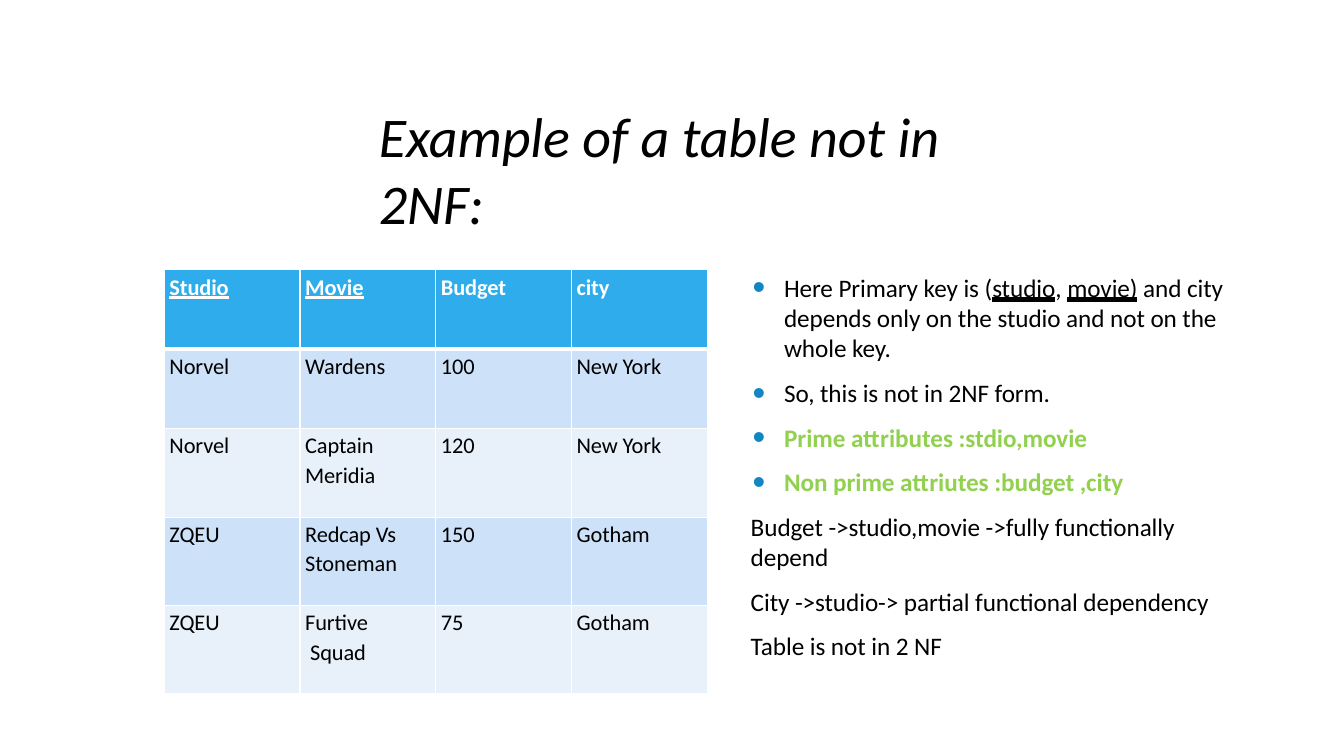
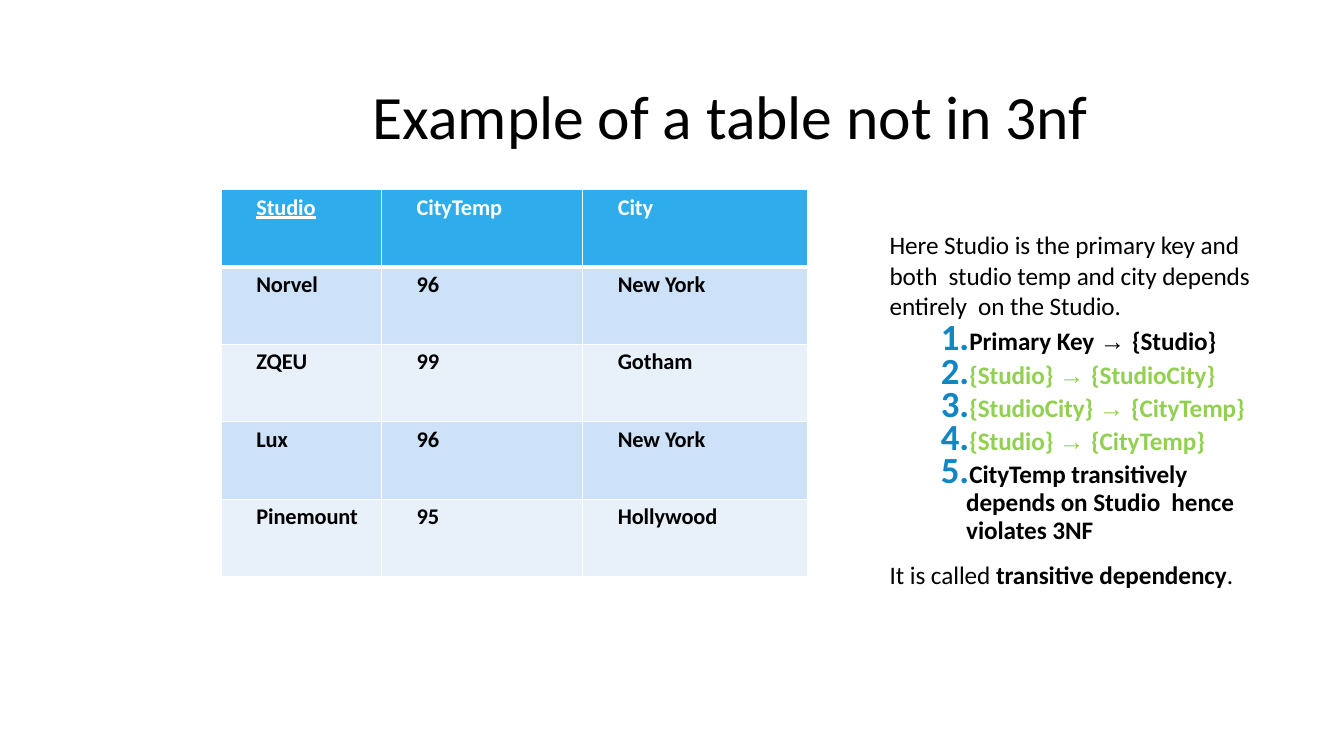
from collections import namedtuple

from lxml.etree import SubElement
from pptx import Presentation
from pptx.dml.color import RGBColor
from pptx.enum.text import MSO_ANCHOR, MSO_UNDERLINE
from pptx.oxml.ns import qn
from pptx.util import Cm, Pt

HEAVY = MSO_UNDERLINE.HEAVY_LINE
Run = namedtuple("Run", "text bold color underline font", defaults=(False, "000000", None, "Calibri"))


def rgb(value):
    return RGBColor.from_string(value)


def add_xml(parent, tag, **attributes):
    return SubElement(parent, qn(tag), {key: str(value) for key, value in attributes.items()})


class Deck:
    BLACK = "000000"
    WHITE = "FFFFFF"
    GREEN = "92D050"
    BULLET = "1286C3"
    HEADER = "2FACEB"
    BANDS = ("CDE2F8", "E8F0FA")
    BODY_SIZE = 18
    CELL_SIZE = 16
    LETTER_SPACING = -5

    def __init__(self):
        self.presentation = Presentation()
        self.presentation.slide_width = Cm(33.87)
        self.presentation.slide_height = Cm(19.05)
        self.slide = None

    def add_slide(self):
        self.slide = self.presentation.slides.add_slide(self.presentation.slide_layouts[6])

    def style(self, run, size, bold=False, color=BLACK, underline=None, font="Calibri", italic=False):
        run.font.name = font
        run.font.size = Pt(size)
        run.font.bold = bold
        run.font.italic = italic
        run.font.underline = underline
        run.font.color.rgb = rgb(color)
        run.font._element.set("spc", str(self.LETTER_SPACING))

    def text_frame(self, left, top, width, height):
        shape = self.slide.shapes.add_textbox(Cm(left), Cm(top), Cm(width), Cm(height))
        frame = shape.text_frame
        frame.word_wrap = True
        frame.margin_left = frame.margin_top = frame.margin_right = frame.margin_bottom = 0
        return frame

    def title(self, text, left, top, width, height, size, italic=False):
        frame = self.text_frame(left, top, width, height)
        frame.vertical_anchor = MSO_ANCHOR.MIDDLE
        frame.text = text
        frame.paragraphs[0].space_before = Pt(1)
        self.style(frame.paragraphs[0].runs[0], size, italic=italic)

    def borders(self, cell, row):
        properties = cell._tc.get_or_add_tcPr()
        widths = {"L": 1, "R": 1, "T": 3 if row == 1 else 1, "B": 3 if row == 0 else 1}
        for side, width in widths.items():
            line = add_xml(properties, f"a:ln{side}", w=Pt(width))
            add_xml(add_xml(line, "a:solidFill"), "a:srgbClr", val=self.WHITE)

    def table(self, rows, left, top, widths, heights, indent, keys, bold=False):
        frame = self.slide.shapes.add_table(
            len(rows), len(widths), Cm(left), Cm(top), Cm(sum(widths)), Cm(sum(heights)))
        table = frame.table
        for column, width in zip(table.columns, widths):
            column.width = Cm(width)
        for index, (values, height) in enumerate(zip(rows, heights)):
            table.rows[index].height = Cm(height)
            for column, value in enumerate(values):
                self.cell(table.cell(index, column), value, index, indent, bold, value in keys)

    def cell(self, cell, text, row, indent, bold, key):
        header = row == 0
        self.borders(cell, row)
        cell.fill.solid()
        cell.fill.fore_color.rgb = rgb(self.HEADER if header else self.BANDS[(row - 1) % 2])
        cell.margin_left = Cm(indent)
        cell.margin_top = Cm(0.1)
        cell.margin_right = cell.margin_bottom = 0
        cell.text_frame.text = text
        for index, paragraph in enumerate(cell.text_frame.paragraphs):
            paragraph.space_before = Pt(1.5 if index else 3)
            for run in paragraph.runs:
                self.style(run, self.CELL_SIZE, bold or header,
                           self.WHITE if header else self.BLACK, header and key)

    def bullet(self, paragraph, margin, hanging, size, numbered):
        properties = paragraph._p.get_or_add_pPr()
        properties.set("marL", str(Cm(margin)))
        properties.set("indent", str(-Cm(hanging)))
        add_xml(add_xml(properties, "a:buClr"), "a:srgbClr", val=self.BULLET)
        add_xml(properties, "a:buSzPct", val=size * 1000)
        if numbered:
            add_xml(properties, "a:buFont", typeface="Calibri")
            add_xml(properties, "a:buAutoNum", type="arabicPeriod")
        else:
            add_xml(properties, "a:buFont", typeface="Arial")
            add_xml(properties, "a:buChar", char="•")

    def notes(self, lines, left, top, width, height):
        frame = self.text_frame(left, top, width, height)
        for index, (runs, before, kind) in enumerate(lines):
            paragraph = frame.add_paragraph() if index else frame.paragraphs[0]
            paragraph.space_before = Pt(before)
            if kind == "bullet":
                self.bullet(paragraph, 0.84, 0.79, 144, False)
            elif kind == "number":
                self.bullet(paragraph, 1.93, 0.64, 146, True)
            for item in runs:
                run = paragraph.add_run()
                run.text = item.text
                self.style(run, self.BODY_SIZE, *item[1:])
        return frame


def dependency(source, target, color=Deck.GREEN):
    return [Run(source + " ", True, color), Run("→ ", False, color, None, "Arial"), Run(target, True, color)]


def second_form(deck):
    deck.add_slide()
    deck.title("Example of a table not in 2NF:", 9.55, 2.55, 16.8, 3.4, 40, italic=True)
    rows = [
        ("Studio", "Movie", "Budget", "city"),
        ("Norvel", "Wardens", "100", "New York"),
        ("Norvel", "Captain\nMeridia", "120", "New York"),
        ("ZQEU", "Redcap Vs\nStoneman", "150", "Gotham"),
        ("ZQEU", "Furtive\n Squad", "75", "Gotham"),
    ]
    deck.table(rows, 4.14, 6.8, [3.42] * 4, [2.0] * 2 + [2.23] * 3, 0.13, ("Studio", "Movie"))
    key = [
        Run("Here Primary key is ("), Run("studio", underline=HEAVY), Run(", "),
        Run("movie)", underline=HEAVY),
        Run(" and city depends only on the studio and not on the whole key."),
    ]
    lines = [
        (key, 1, "bullet"),
        ([Run("So, this is not in 2NF form.")], 10.3, "bullet"),
        ([Run("Prime attributes :stdio,movie", True, deck.GREEN)], 10.3, "bullet"),
        ([Run("Non prime attriutes :budget ,city", True, deck.GREEN)], 10.3, "bullet"),
        ([Run("Budget ->studio,movie ->fully functionally depend")], 10.3, None),
        ([Run("City ->studio-> partial functional dependency")], 10.3, None),
        ([Run("Table is not in 2 NF")], 10.3, None),
    ]
    deck.notes(lines, 18.92, 6.86, 12.14, 11)


def third_form(deck):
    deck.add_slide()
    deck.title("Example of a table not in 3nf", 9.4, 1.93, 18.4, 1.93, 44)
    rows = [
        ("Studio", "CityTemp", "City"),
        ("Norvel", "96", "New York"),
        ("ZQEU", "99", "Gotham"),
        ("Lux", "96", "New York"),
        ("Pinemount", "95", "Hollywood"),
    ]
    deck.table(rows, 5.57, 4.78, [4.04, 5.07, 5.66], [1.95] * 5, 0.89, ("Studio",), bold=True)
    lines = [
        ([Run("Here Studio is the primary key and both  studio temp and city depends "
              "entirely  on the Studio.")], 0.9, None),
        (dependency("Primary Key", "{Studio}", deck.BLACK), 3.7, "number"),
        (dependency("{Studio}", "{StudioCity}"), 2.2, "number"),
        (dependency("{StudioCity}", "{CityTemp}"), 2.2, "number"),
        (dependency("{Studio}", "{CityTemp}"), 2.2, "number"),
        ([Run("CityTemp transitively depends on Studio  hence violates 3NF", True)], 3.8, "number"),
        ([Run("It is called "), Run("transitive dependency", True), Run(".")], 9.6, None),
    ]
    frame = deck.notes(lines, 22.42, 5.79, 9.37, 9.2)
    frame.paragraphs[5].line_spacing = 0.93


def main():
    deck = Deck()
    second_form(deck)
    third_form(deck)
    deck.presentation.save("out.pptx")


if __name__ == "__main__":
    main()
